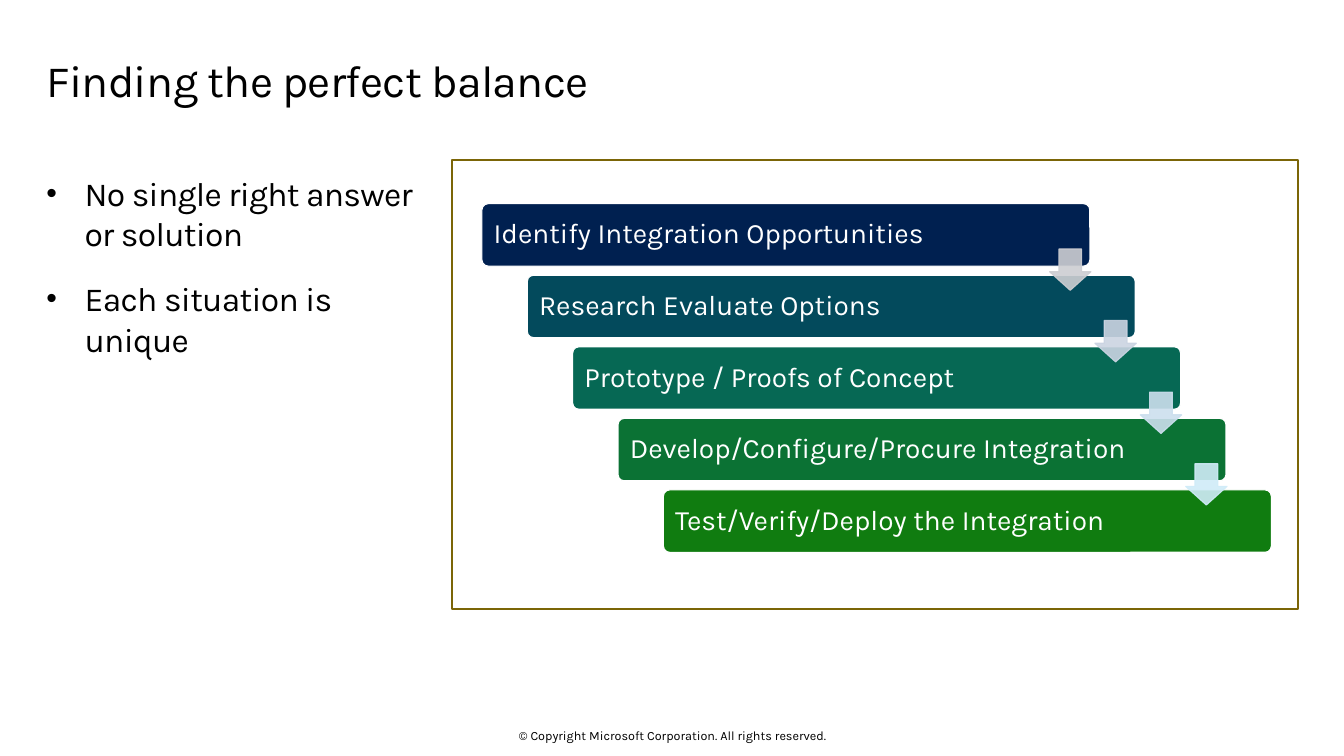
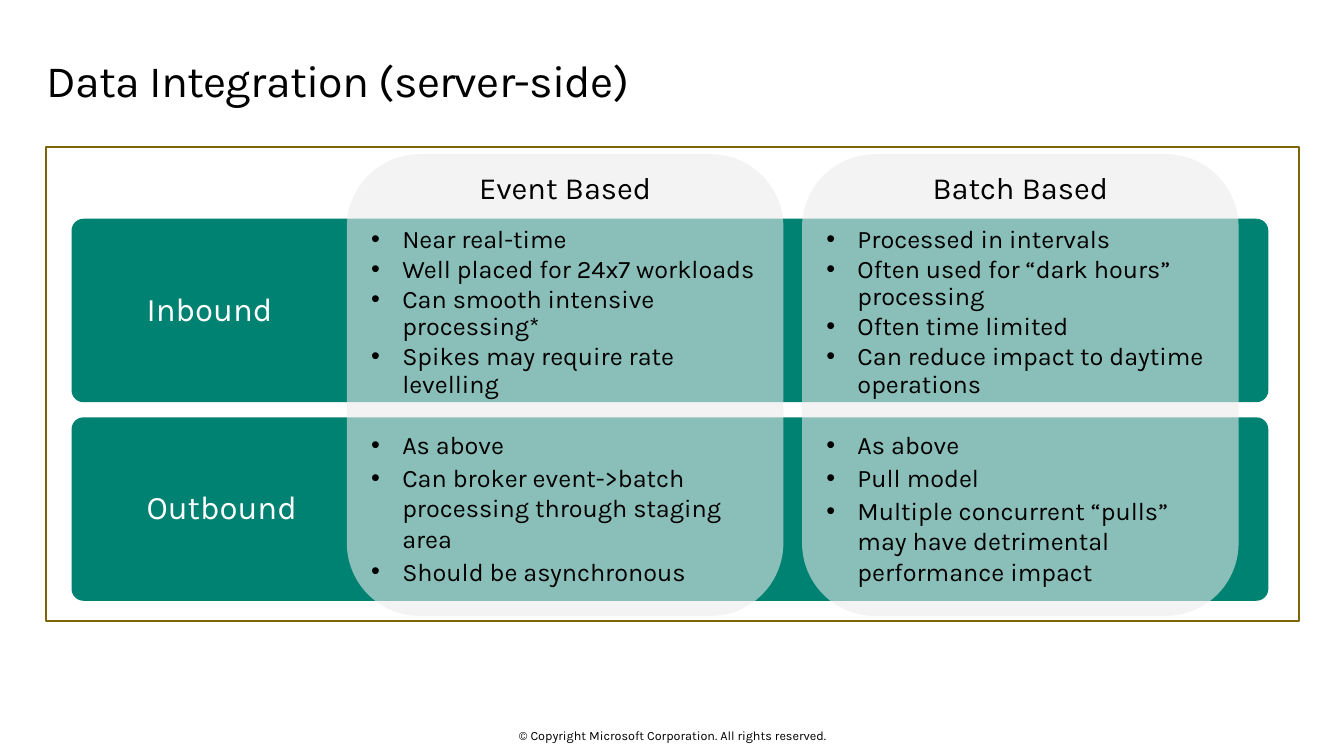
from dataclasses import dataclass

import lxml.etree
import pptx
import pptx.dml.color
import pptx.dml.fill
import pptx.enum.shapes
import pptx.enum.text
import pptx.oxml.ns
import pptx.presentation
import pptx.shapes.autoshape
import pptx.slide
import pptx.text.text
import pptx.util

Inches = pptx.util.Inches
Pt = pptx.util.Pt
Preset = pptx.enum.shapes.MSO_SHAPE
Align = pptx.enum.text.PP_ALIGN
Anchor = pptx.enum.text.MSO_ANCHOR

FONT = "Karla"
BLACK, WHITE = "000000", "FFFFFF"
FRAME_GOLD, BAND_TEAL, COLUMN_GREY = "7B6507", "008272", "EBEBEB"
FOOTER = "© Copyright Microsoft Corporation. All rights reserved."


@dataclass(frozen=True)
class Box:
    left: float
    top: float
    width: float
    height: float

    def lengths(self) -> list[int]:
        return [Inches(v) for v in (self.left, self.top, self.width, self.height)]


@dataclass(frozen=True)
class TextStyle:
    size: float
    color: str = BLACK
    align: Align = Align.LEFT
    anchor: Anchor = Anchor.TOP
    insets: tuple[float, float, float, float] = (0, 0, 0, 0)
    line_spacing: float = 1.0
    space_before: float = 0
    tracking: float = 0
    bullet_indent: float = 0
    bullet_percent: int = 100


@dataclass(frozen=True)
class Step:
    label: str
    fill: str
    arrow: str | None = None


@dataclass(frozen=True)
class Approach:
    heading: str
    cells: tuple[list[str], list[str]]


TITLE = TextStyle(32, insets=(0, 0.1, 0.16, 0.1), line_spacing=0.9, tracking=-0.5)
COPYRIGHT = TextStyle(9, align=Align.CENTER, anchor=Anchor.MIDDLE)
BODY = TextStyle(24, insets=(0, 0.12, 0, 0.16), space_before=18, tracking=-0.5,
                 bullet_indent=0.38, bullet_percent=90)
STEP = TextStyle(20, WHITE, anchor=Anchor.MIDDLE, insets=(0.1, 0.08, 0.08, 0.08),
                 line_spacing=0.9)
BAND = TextStyle(23.5, WHITE, anchor=Anchor.MIDDLE, insets=(0.71, 0.16, 0.2, 0.16),
                 line_spacing=0.9)
HEADING = TextStyle(22, align=Align.CENTER, insets=(0.2, 0, 0.2, 0.16), line_spacing=0.8)
INBOUND_CELL = TextStyle(18, insets=(0.24, 0.08, 0.2, 0.16), line_spacing=0.9,
                         space_before=2, bullet_indent=0.31)
OUTBOUND_CELL = TextStyle(18, insets=(0.24, 0.12, 0.2, 0.16), space_before=2,
                          bullet_indent=0.31)

STEPS = [
    Step("Identify Integration Opportunities", "002050", "CDCED2"),
    Step("Research Evaluate Options", "034A5C", "CBD4E2"),
    Step("Prototype / Proofs of Concept", "066854", "CCDFEE"),
    Step("Develop/Configure/Procure Integration", "0B7234", "D0ECF8"),
    Step("Test/Verify/Deploy the Integration", "107C10"),
]
DIRECTIONS = [("Inbound", INBOUND_CELL), ("Outbound", OUTBOUND_CELL)]
APPROACHES = [
    Approach("Event Based", (
        ["Near real-time", "Well placed for 24x7 workloads",
         "Can smooth intensive processing*", "Spikes may require rate levelling"],
        ["As above", "Can broker event->batch processing through staging area",
         "Should be asynchronous"])),
    Approach("Batch Based", (
        ["Processed in intervals", "Often used for “dark hours” processing",
         "Often time limited", "Can reduce impact to daytime operations"],
        ["As above", "Pull model",
         "Multiple concurrent “pulls” may have detrimental performance impact"])),
]


def rgb(color: str) -> pptx.dml.color.RGBColor:
    return pptx.dml.color.RGBColor.from_string(color)


def paint(fill: pptx.dml.fill.FillFormat, color: str) -> None:
    fill.solid()
    fill.fore_color.rgb = rgb(color)


def add_child(parent: lxml.etree._Element, tag: str, **attributes: str) -> None:
    child = lxml.etree.SubElement(parent, pptx.oxml.ns.qn(tag))
    for key, value in attributes.items():
        child.set(key, value)


def add_bullet(paragraph: pptx.text.text._Paragraph, style: TextStyle) -> None:
    properties = paragraph._p.get_or_add_pPr()
    indent = Inches(style.bullet_indent)
    properties.set("marL", str(indent))
    properties.set("indent", str(-indent))
    add_child(properties, "a:buSzPct", val=str(style.bullet_percent * 1000))
    add_child(properties, "a:buFont", typeface="Arial")
    add_child(properties, "a:buChar", char="•")


def write(frame: pptx.text.text.TextFrame, lines: list[str], style: TextStyle) -> None:
    frame.word_wrap = True
    frame.vertical_anchor = style.anchor
    (frame.margin_left, frame.margin_top,
     frame.margin_right, frame.margin_bottom) = map(Inches, style.insets)
    for index, line in enumerate(lines):
        paragraph = frame.add_paragraph() if index else frame.paragraphs[0]
        run = paragraph.add_run()
        run.text = line
        if style.tracking:
            run._r.get_or_add_rPr().set("spc", str(round(style.tracking * 100)))
        paragraph.alignment = style.align
        paragraph.line_spacing = style.line_spacing
        if index:
            paragraph.space_before = Pt(style.space_before)
        if style.bullet_indent:
            add_bullet(paragraph, style)
        paragraph.font.name = FONT
        paragraph.font.size = Pt(style.size)
        paragraph.font.color.rgb = rgb(style.color)


def add_text(slide: pptx.slide.Slide, box: Box, lines: list[str], style: TextStyle) -> None:
    write(slide.shapes.add_textbox(*box.lengths()).text_frame, lines, style)


def add_shape(slide: pptx.slide.Slide, preset: Preset, box: Box, fill: str | None = None,
              line: str | None = None, line_width: float = 0.85, opacity: int = 100,
              adjustments: tuple[float, ...] = ()) -> pptx.shapes.autoshape.Shape:
    shape = slide.shapes.add_shape(preset, *box.lengths())
    shape.shadow.inherit = False
    for index, value in enumerate(adjustments):
        shape.adjustments[index] = value
    if fill:
        paint(shape.fill, fill)
    else:
        shape.fill.background()
    if line:
        paint(shape.line.fill, line)
        shape.line.width = Pt(line_width)
    else:
        shape.line.fill.background()
    if opacity < 100:
        for color in list(shape._element.spPr.iter(pptx.oxml.ns.qn("a:srgbClr"))):
            add_child(color, "a:alpha", val=str(opacity * 1000))
    return shape


def add_frame(slide: pptx.slide.Slide, box: Box) -> None:
    add_shape(slide, Preset.RECTANGLE, box, line=FRAME_GOLD, line_width=1.5)


def start_slide(deck: pptx.presentation.Presentation, title: str) -> pptx.slide.Slide:
    """Add a blank slide with the shared copyright line and title."""
    slide = deck.slides.add_slide(deck.slide_layouts[6])
    paint(slide.background.fill, WHITE)
    add_text(slide, Box(4.42, 7.22, 4.5, 0.15), [FOOTER], COPYRIGHT)
    add_text(slide, Box(0.46, 0.48, 12.4, 0.74), [title], TITLE)
    return slide


def build_balance(deck: pptx.presentation.Presentation) -> None:
    slide = start_slide(deck, "Finding the perfect balance")
    add_text(slide, Box(0.46, 1.59, 3.66, 2.15),
             ["No single right answer or solution", "Each situation is unique"], BODY)
    add_frame(slide, Box(4.48, 1.59, 8.39, 4.45))

    shift_x, shift_y = 0.45, 0.71
    for index, step in enumerate(STEPS):
        box = Box(4.78 + index * shift_x, 2.02 + index * shift_y, 6.03, 0.62)
        bar = add_shape(slide, Preset.ROUNDED_RECTANGLE, box, step.fill, WHITE,
                        adjustments=(0.1,))
        write(bar.text_frame, [step.label], STEP)
    for index, step in enumerate(STEPS):
        if step.arrow:
            box = Box(10.41 + index * shift_x, 2.47 + index * shift_y, 0.41, 0.41)
            add_shape(slide, Preset.DOWN_ARROW, box, step.arrow, step.arrow,
                      opacity=90, adjustments=(0.55, 0.45))


def build_data_integration(deck: pptx.presentation.Presentation) -> None:
    slide = start_slide(deck, "Data Integration (server-side)")
    add_frame(slide, Box(0.46, 1.46, 12.42, 4.7))

    band_height, column_width = 1.82, 4.33
    band_tops = [2.17 + row * 1.97 for row in range(len(DIRECTIONS))]
    for top, (direction, _) in zip(band_tops, DIRECTIONS):
        band = add_shape(slide, Preset.ROUNDED_RECTANGLE, Box(0.71, top, 11.87, band_height),
                         BAND_TEAL, adjustments=(0.065,))
        write(band.text_frame, [direction], BAND)

    for index, approach in enumerate(APPROACHES):
        left = 3.44 + index * 4.515
        column = add_shape(slide, Preset.FLOWCHART_ALTERNATE_PROCESS,
                           Box(left, 1.53, column_width, 4.58), COLUMN_GREY, opacity=59)
        write(column.text_frame, [approach.heading], HEADING)
        for top, points, (_, style) in zip(band_tops, approach.cells, DIRECTIONS):
            add_text(slide, Box(left, top, column_width, band_height), points, style)


def main() -> None:
    deck = pptx.Presentation()
    deck.slide_width, deck.slide_height = Inches(13.33), Inches(7.5)
    build_balance(deck)
    build_data_integration(deck)
    deck.save("out.pptx")


if __name__ == "__main__":
    main()
